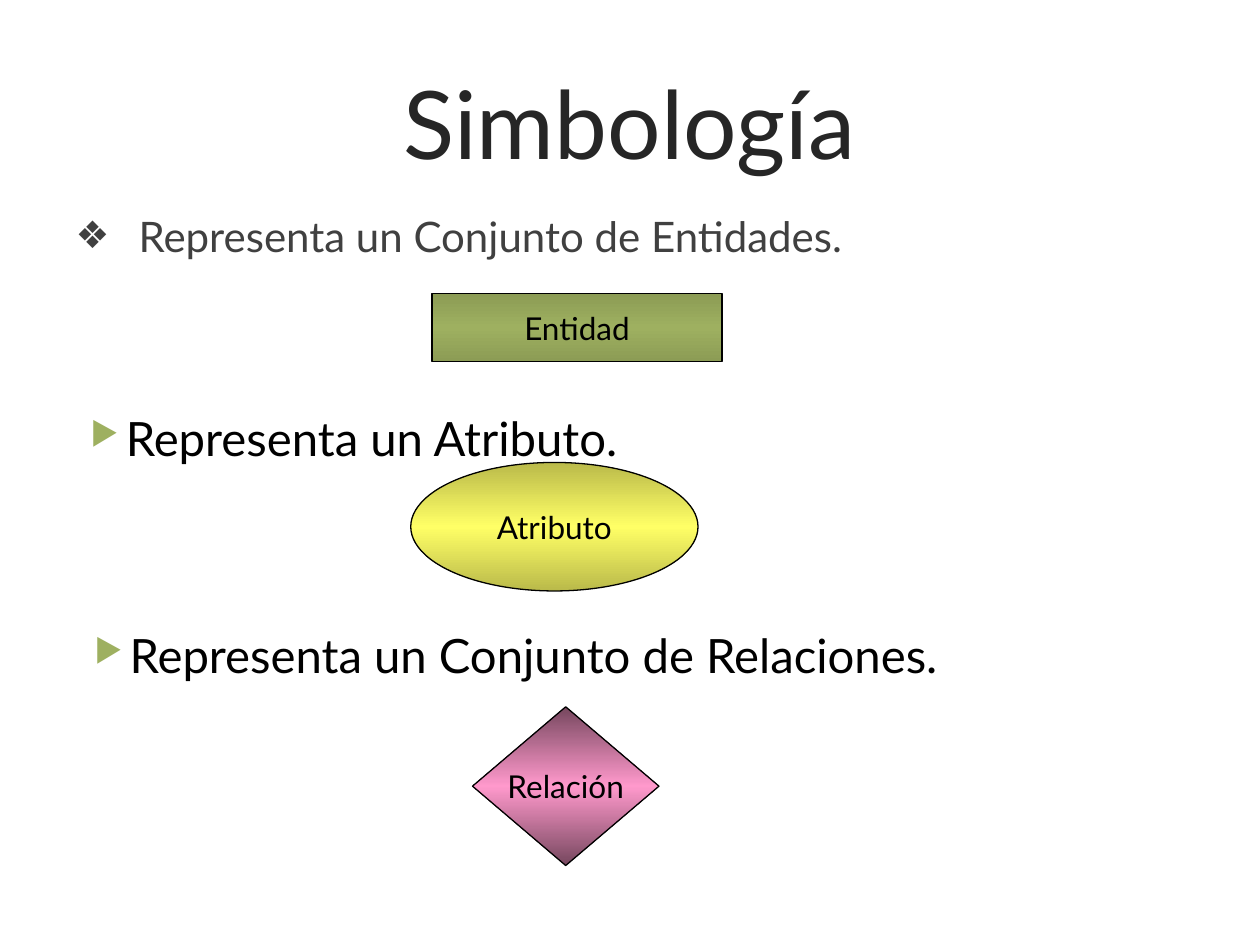
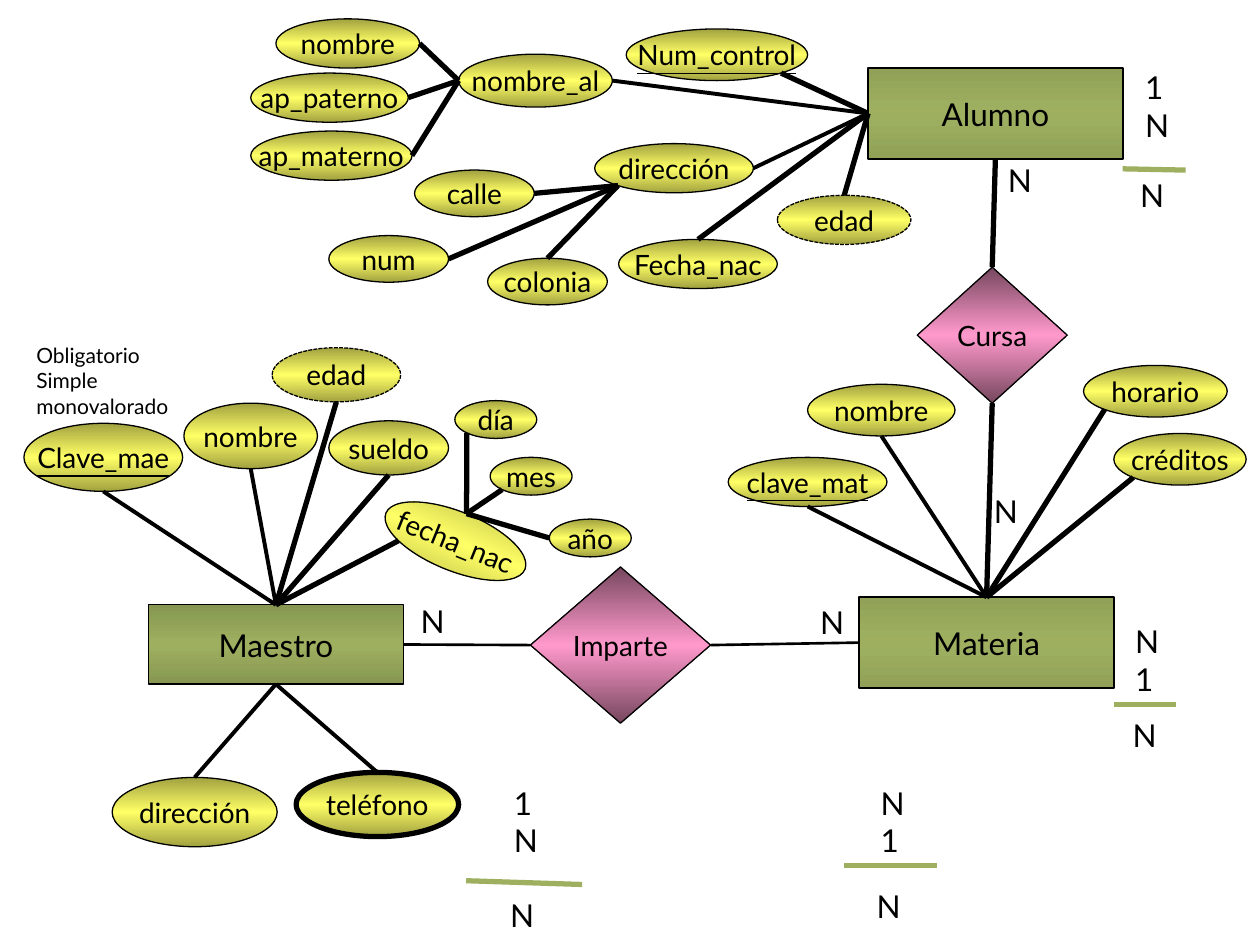
from copy import deepcopy
from math import cos, radians, sin

from lxml.etree import SubElement
from pptx import Presentation
from pptx.dml.color import RGBColor
from pptx.enum.dml import MSO_LINE
from pptx.enum.shapes import MSO_CONNECTOR, MSO_SHAPE
from pptx.enum.text import MSO_ANCHOR, MSO_AUTO_SIZE, PP_ALIGN
from pptx.oxml.ns import qn
from pptx.util import Inches, Pt

FONT = "Lato"
BLACK = RGBColor(0x00, 0x00, 0x00)
TITLE_GREY = RGBColor(0x26, 0x26, 0x26)
BODY_GREY = RGBColor(0x40, 0x40, 0x40)
GREEN = RGBColor(0x9E, 0xB0, 0x60)
GREEN_LEGEND = RGBColor(0x8C, 0x9C, 0x55)
GREEN_DARK = RGBColor(0x87, 0x97, 0x52)
GREEN_SOFT = RGBColor(0x91, 0xA2, 0x58)
YELLOW = RGBColor(0xFF, 0xFF, 0x66)
YELLOW_LEGEND = RGBColor(0xBA, 0xBA, 0x4A)
YELLOW_DARK = RGBColor(0xA2, 0xA2, 0x41)
PINK = RGBColor(0xFF, 0x99, 0xCC)
PINK_DARK = RGBColor(0x76, 0x47, 0x5E)

# Connection points as fractions of half the width and half the height
DIAGONAL = 0.7071
TOP, BOTTOM, LEFT, RIGHT = (0, -1), (0, 1), (-1, 0), (1, 0)
LOWER_LEFT, LOWER_RIGHT = (-DIAGONAL, DIAGONAL), (DIAGONAL, DIAGONAL)


def apply(target, values):
    for name, value in values.items():
        setattr(target, name, value)


def anchor_point(shape, side):
    """Point on the outline of a shape, with its rotation."""
    across, down = side[0] * shape.width / 2, side[1] * shape.height / 2
    angle = radians(shape.rotation)
    return (shape.left + shape.width / 2 + across * cos(angle) - down * sin(angle),
            shape.top + shape.height / 2 + across * sin(angle) + down * cos(angle))


class DiagramDeck:
    def __init__(self):
        self.presentation = Presentation()
        apply(self.presentation, {"slide_width": Inches(10), "slide_height": Inches(7.5)})
        self.slide = None

    def new_slide(self, layout):
        layouts = self.presentation.slide_layouts
        self.slide = self.presentation.slides.add_slide(layouts.get_by_name(layout))

    def set_text(self, shape, lines, size, color=BLACK, frame=None, paragraph_format=None,
                 underline=None):
        text_frame = shape.text_frame
        text_frame.text = "\n".join(lines)
        apply(text_frame, frame or {})
        for paragraph in text_frame.paragraphs:
            apply(paragraph, paragraph_format or {})
            font = paragraph.runs[0].font
            apply(font, {"name": FONT, "size": Pt(size), "underline": underline})
            font.color.rgb = color

    def place(self, shape, box):
        apply(shape, dict(zip(("left", "top", "width", "height"), map(Inches, box))))

    def title(self, text, box):
        shape = self.slide.shapes.title
        self.place(shape, box)
        self.set_text(shape, [text], 54, TITLE_GREY,
                      {"vertical_anchor": MSO_ANCHOR.MIDDLE, "auto_size": MSO_AUTO_SIZE.NONE},
                      {"alignment": PP_ALIGN.CENTER})

    def bullet(self, shape, text, size, color, character, percent, margin, indent,
               space, bullet_color=None):
        self.set_text(shape, [text], size, color,
                      {"word_wrap": True, "auto_size": MSO_AUTO_SIZE.NONE},
                      {"space_before": Pt(space)})
        properties = shape.text_frame.paragraphs[0]._p.get_or_add_pPr()
        properties.set("marL", str(Inches(margin)))
        properties.set("indent", str(Inches(indent)))
        if bullet_color is not None:
            holder = SubElement(properties, qn("a:buClr"))
            SubElement(holder, qn("a:srgbClr"), val=str(bullet_color))
        SubElement(properties, qn("a:buSzPct"), val=str(percent * 1000))
        SubElement(properties, qn("a:buChar"), char=character)

    def body(self, text, box):
        shape = self.slide.placeholders[1]
        self.place(shape, box)
        self.bullet(shape, text, 24, BODY_GREY, "❖", 90, 0.5, -0.5, 24)

    def arrow_item(self, text, box):
        shape = self.slide.shapes.add_textbox(*map(Inches, box))
        self.bullet(shape, text, 27, BLACK, "▶", 68, 0.4, -0.28, 4, GREEN)

    def text(self, lines, box, size=18, wrap=False):
        shape = self.slide.shapes.add_textbox(*map(Inches, box))
        self.set_text(shape, lines, size, frame={
            "word_wrap": wrap, "auto_size": MSO_AUTO_SIZE.SHAPE_TO_FIT_TEXT})

    def node(self, kind, text, box, light, dark, size=18, border=0.75, dash=None,
             underline=None, rotation=0):
        shape = self.slide.shapes.add_shape(kind, *map(Inches, box))
        shape.rotation = rotation
        shape.shadow.inherit = False
        # Dark edge, light middle, dark edge
        shape.fill.gradient()
        shape.fill.gradient_angle = 90
        stops = shape._element.spPr.find(".//" + qn("a:gsLst"))
        stops.insert(1, deepcopy(stops[0]))
        for stop, position, color in zip(shape.fill.gradient_stops, (0, 0.5, 1),
                                         (dark, light, dark)):
            stop.position = position
            stop.color.rgb = color
        shape.line.color.rgb = BLACK
        apply(shape.line, {"width": Pt(border), "dash_style": dash})
        self.set_text(shape, [text], size, frame={
            "word_wrap": False, "vertical_anchor": MSO_ANCHOR.MIDDLE},
            paragraph_format={"alignment": PP_ALIGN.CENTER}, underline=underline)
        return shape

    def entity(self, text, box, dark, **style):
        return self.node(MSO_SHAPE.RECTANGLE, text, box, GREEN, dark, **style)

    def relation(self, text, box, **style):
        return self.node(MSO_SHAPE.DIAMOND, text, box, PINK, PINK_DARK, **style)

    def attribute(self, text, box, dark=YELLOW_DARK, size=16, **style):
        return self.node(MSO_SHAPE.OVAL, text, box, YELLOW, dark, size, **style)

    def line(self, start, end, width=3, color=BLACK):
        connector = self.slide.shapes.add_connector(
            MSO_CONNECTOR.STRAIGHT, *(round(value) for value in (*start, *end)))
        connector.line.color.rgb = color
        connector.line.width = Pt(width)
        SubElement(connector._element.spPr, qn("a:effectLst"))

    def join(self, first, first_side, second, second_side, width=3):
        self.line(anchor_point(first, first_side), anchor_point(second, second_side), width)

    def attributes(self, owner, owner_side, rows):
        """Draw the attributes of one owner and return them in order."""
        shapes = []
        for text, box, side, width, style in rows:
            shape = self.attribute(text, box, **style)
            self.join(shape, side, owner, owner_side, width)
            shapes.append(shape)
        return shapes

    def cardinality(self, pair, pair_at, start, end, result_at):
        self.text(pair, (*pair_at, 0.41, 0.71))
        self.line(map(Inches, start), map(Inches, end), color=GREEN)
        self.mark(result_at)

    def mark(self, at):
        self.text(["N"], (*at, 0.41, 0.4))


deck = DiagramDeck()

# Slide 1: symbols
deck.new_slide("Title and Content")
deck.body("Representa un Conjunto de Entidades.", (0.5, 1.62, 9, 0.8))
deck.title("Simbología", (0.79, 0.34, 8.41, 1.25))
deck.entity("Entidad", (3.43, 2.33, 2.3, 0.54), GREEN_LEGEND)
deck.arrow_item("Representa un Atributo.", (0.5, 3.2, 9, 0.8))
deck.arrow_item("Representa un Conjunto de Relaciones.", (0.53, 4.92, 9, 0.8))
deck.attribute("Atributo", (3.26, 3.67, 2.28, 1.02), YELLOW_LEGEND, 18)
deck.relation("Relación", (3.75, 5.61, 1.48, 1.26))

# Slide 2: entity-relationship diagram
deck.new_slide("Blank")
KEY = {"underline": True}
DERIVED = {"dash": MSO_LINE.SQUARE_DOT}
MULTIVALUED = {"border": 3}
PLAIN = {}

# Entities and relations
teacher = deck.entity("Maestro", (1.18, 4.8, 2.02, 0.63), GREEN_DARK)
subject = deck.entity("Materia", (6.82, 4.74, 2.02, 0.72), GREEN_SOFT, border=1)
student = deck.entity("Alumno", (6.89, 0.54, 2.02, 0.72), GREEN_SOFT, border=1)
teaches = deck.relation("Imparte", (4.21, 4.5, 1.43, 1.24), size=16)
takes = deck.relation("Cursa", (7.28, 2.12, 1.19, 1.08), size=16)
deck.join(teacher, RIGHT, teaches, LEFT, 1.5)
deck.join(teaches, RIGHT, subject, LEFT, 1.5)
deck.join(student, BOTTOM, takes, TOP)
deck.join(takes, BOTTOM, subject, TOP)

# Teacher attributes
*_, birth_date = deck.attributes(teacher, TOP, [
    ("Clave_mae", (0.19, 3.36, 1.26, 0.54), BOTTOM, 2.25, KEY),
    ("nombre", (1.46, 3.2, 1.06, 0.52), BOTTOM, 2.25, PLAIN),
    ("edad", (2.16, 2.76, 1.02, 0.43), BOTTOM, 3, DERIVED),
    ("sueldo", (2.61, 3.34, 0.95, 0.43), BOTTOM, 3, PLAIN),
    ("fecha_nac", (3.02, 4.06, 1.19, 0.47), LOWER_LEFT, 3, {"rotation": 22}),
])
deck.attributes(teacher, BOTTOM, [
    ("dirección", (0.89, 6.17, 1.31, 0.55), TOP, 2.25, PLAIN),
    ("teléfono", (2.35, 6.13, 1.29, 0.51), TOP, 2.25, MULTIVALUED),
])
deck.attributes(birth_date, TOP, [
    ("día", (3.61, 3.18, 0.65, 0.3), LOWER_LEFT, 3, PLAIN),
    ("mes", (3.89, 3.63, 0.65, 0.3), LOWER_LEFT, 3, PLAIN),
    ("año", (4.36, 4.12, 0.65, 0.3), LEFT, 3, PLAIN),
])
deck.text(["Obligatorio", "Simple", "monovalorado"], (0.19, 2.67, 1.26, 0.71), 12, True)

# Subject attributes
deck.attributes(subject, TOP, [
    ("clave_mat", (5.78, 3.63, 1.26, 0.39), BOTTOM, 2.25, KEY),
    ("nombre", (6.41, 3.05, 1.17, 0.41), BOTTOM, 2.25, PLAIN),
    ("horario", (8.6, 2.9, 1.14, 0.41), LOWER_LEFT, 3, PLAIN),
    ("créditos", (8.84, 3.44, 1.05, 0.41), LOWER_LEFT, 3, PLAIN),
])

# Student attributes
address, full_name, *_ = deck.attributes(student, LEFT, [
    ("dirección", (4.72, 1.14, 1.26, 0.39), RIGHT, 2.25, PLAIN),
    ("nombre_al", (3.64, 0.43, 1.22, 0.42), RIGHT, 2.25, PLAIN),
    ("Num_control", (4.97, 0.23, 1.44, 0.41), LOWER_RIGHT, 3, KEY),
    ("Fecha_nac", (4.91, 1.9, 1.26, 0.39), TOP, 3, PLAIN),
    ("edad", (6.17, 1.55, 1.06, 0.39), TOP, 3, DERIVED),
])
deck.attributes(full_name, LEFT, [
    ("nombre", (2.19, 0.15, 1.14, 0.39), RIGHT, 3, PLAIN),
    ("ap_paterno", (1.99, 0.58, 1.25, 0.39), RIGHT, 3, PLAIN),
    ("ap_materno", (1.99, 1.04, 1.28, 0.39), RIGHT, 3, PLAIN),
])
deck.attributes(address, LOWER_LEFT, [
    ("calle", (3.29, 1.35, 0.95, 0.37), RIGHT, 3, PLAIN),
    ("num", (2.61, 1.87, 0.95, 0.37), RIGHT, 3, PLAIN),
    ("colonia", (3.87, 2.05, 0.95, 0.37), TOP, 3, PLAIN),
])

# Cardinalities
deck.cardinality("1N", (3.98, 6.17), (3.7, 6.99), (4.62, 7.02), (3.95, 7.06))
deck.cardinality("N1", (6.89, 6.17), (6.7, 6.87), (7.44, 6.87), (6.86, 6.99))
deck.cardinality("1N", (8.99, 0.49), (8.91, 1.34), (9.41, 1.35), (8.95, 1.35))
deck.cardinality("N1", (8.91, 4.89), (8.84, 5.59), (9.33, 5.59), (8.89, 5.63))
for position in ((3.24, 4.73), (6.41, 4.74), (7.9, 1.23), (7.79, 3.86)):
    deck.mark(position)

deck.presentation.save("out.pptx")
